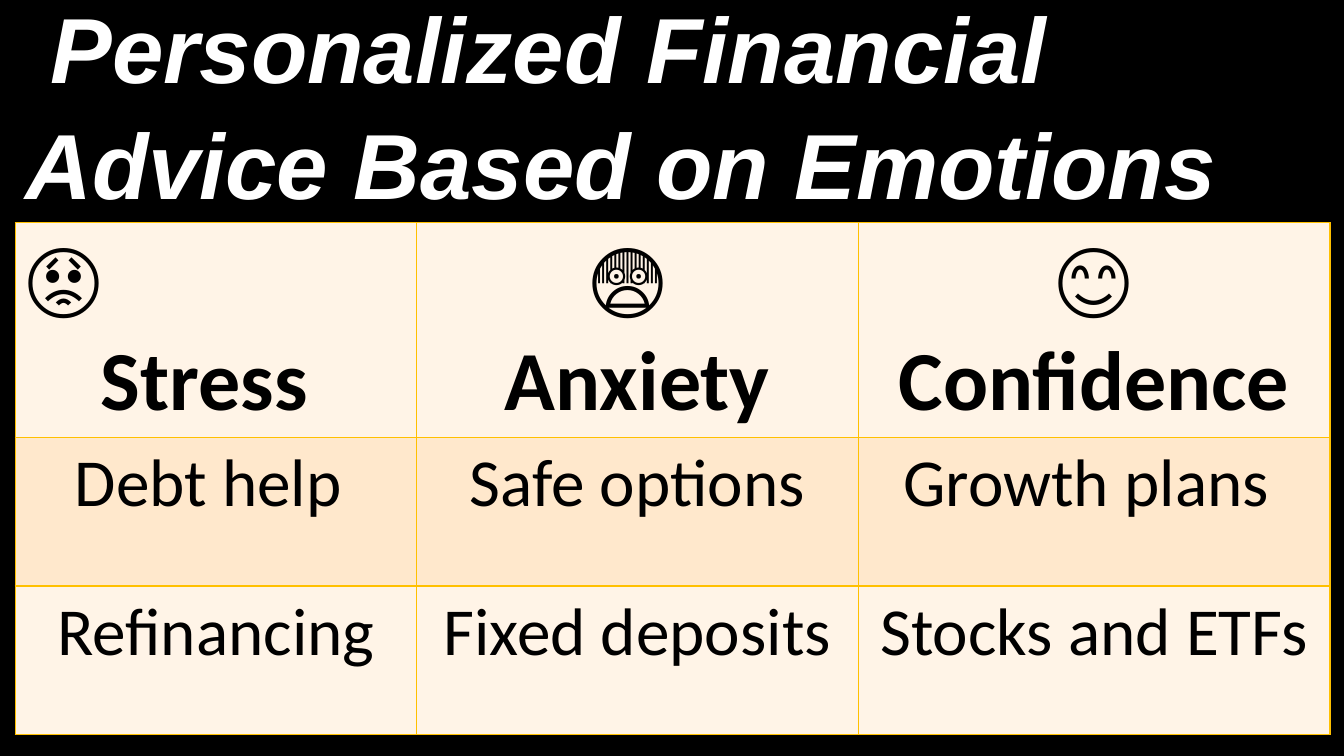
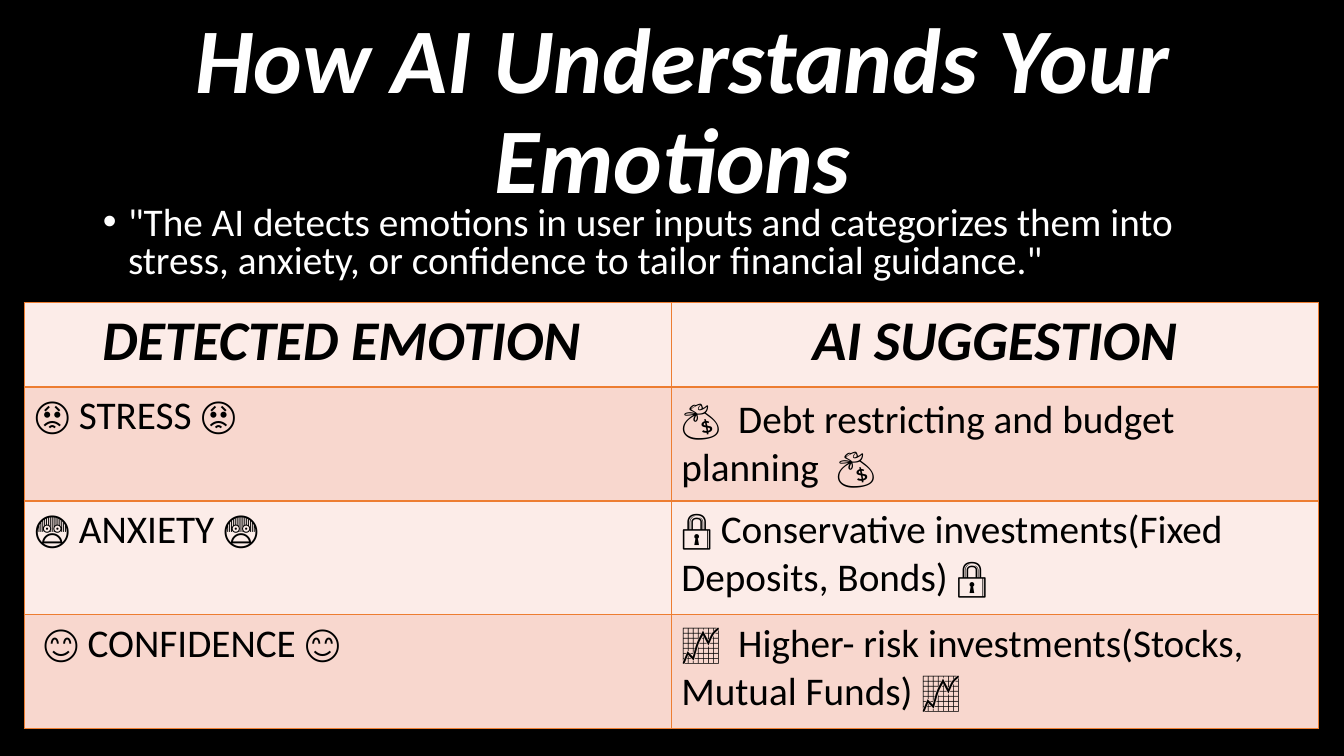
"""Two slides on financial advice that follows emotions."""
import pptx
import pptx.dml.color
import pptx.enum.text
import pptx.oxml
import pptx.oxml.ns
import pptx.util

RGB = pptx.dml.color.RGBColor
ALIGN = pptx.enum.text.PP_ALIGN
ANCHOR = pptx.enum.text.MSO_ANCHOR
Pt = pptx.util.Pt

BLACK = RGB(0x00, 0x00, 0x00)
WHITE = RGB(0xFF, 0xFF, 0xFF)
GOLD = RGB(0xFF, 0xC0, 0x00)
CREAM = RGB(0xFF, 0xF4, 0xE7)
PEACH = RGB(0xFF, 0xE8, 0xCC)
RUST = RGB(0xED, 0x7D, 0x31)
BLUSH = RGB(0xFC, 0xEC, 0xE8)
ROSE = RGB(0xF8, 0xD7, 0xCE)

WIDE = pptx.util.Inches(13.33)
HIGH = pptx.util.Inches(7.5)

TITLE = dict(size=Pt(66), bold=True, italic=True)
LEAD = dict(size=Pt(28), bold=False, italic=False)
MOOD = dict(size=Pt(60), bold=True, italic=False)
TIP = dict(size=Pt(48), bold=False, italic=False)
HEAD = dict(size=Pt(40), bold=True, italic=True)


def across(part):
    """Turn a percentage of the slide's width into a length."""
    return round(WIDE * part / 100)


def down(part):
    """Turn a percentage of the slide's height into a length."""
    return round(HIGH * part / 100)


def apply(item, form):
    """Set each attribute that the dict names."""
    for name, value in form.items():
        setattr(item, name, value)


def write(frame, text, font, para, color, face="Calibri"):
    """Fill a text frame, one paragraph per line, in one format."""
    frame.text = text
    for line in frame.paragraphs:
        apply(line, para)
        for run in line.runs:
            apply(run.font, dict(font, name=face))
            run.font.color.rgb = color


def place(shape, box, text, font, para, face="Calibri"):
    """Move a placeholder to its box and write white text in it."""
    left, top, width, height = box
    apply(shape, dict(left=across(left), top=down(top),
                      width=across(width), height=down(height)))
    write(shape.text_frame, text, font, para, WHITE, face)
    shape.text_frame.auto_size = pptx.enum.text.MSO_AUTO_SIZE.NONE


def indent(line, left, first=0):
    """Indent a paragraph by inches, its first line apart."""
    props = line._p.get_or_add_pPr()
    props.set("marL", str(pptx.util.Inches(left)))
    props.set("indent", str(pptx.util.Inches(first)))


def border(cell, color):
    """Draw a thin line on all sides of a cell."""
    props = cell._tc.get_or_add_tcPr()
    space = pptx.oxml.ns.nsdecls("a")
    for side in "LRTB":
        props.append(pptx.oxml.parse_xml(
            f'<a:ln{side} {space} w="{Pt(1)}"><a:solidFill>'
            f'<a:srgbClr val="{color}"/></a:solidFill></a:ln{side}>'))


def grid(slide, spot, cols, rows, data, fills, edge, fonts, aligns):
    """Add a banded table with its own head and body formats."""
    table = slide.shapes.add_table(
        len(rows), len(cols), across(spot[0]), down(spot[1]),
        across(sum(cols)), down(sum(rows))).table
    apply(table, dict(first_row=False, horz_banding=False))
    for col, part in zip(table.columns, cols):
        col.width = across(part)
    for r, (row, part) in enumerate(zip(table.rows, rows)):
        row.height = down(part)
        kind = min(r, 1)
        for cell, text in zip(row.cells, data[r]):
            border(cell, edge)
            cell.fill.solid()
            cell.fill.fore_color.rgb = fills[r % 2]
            write(cell.text_frame, text, fonts[kind],
                  dict(alignment=aligns[kind]), BLACK)
    return table


def advice(deck):
    """Build the slide of advice for each emotion."""
    slide = deck.slides.add_slide(deck.slide_layouts[5])
    place(slide.shapes.title, (1.13, -2.53, 98.87, 32),
          " Personalized Financial Advice Based on Emotions", TITLE,
          dict(alignment=ALIGN.LEFT, line_spacing=1.05), "Arial")
    data = [("😟\nStress", "😨 \nAnxiety", "😊 Confidence"),
            ("Debt help ", "Safe options", "Growth plans "),
            ("Refinancing", "Fixed deposits", "Stocks and ETFs")]
    table = grid(slide, (1.13, 29.47), (29.86, 32.86, 35.11),
                 (28, 19.6, 19.6), data, (CREAM, PEACH), GOLD,
                 (MOOD, TIP), (ALIGN.CENTER, ALIGN.CENTER))
    lines = table.cell(0, 0).text_frame.paragraphs
    for line in lines:
        line.alignment = ALIGN.LEFT
    indent(lines[1], 0.75)


def detect(deck):
    """Build the slide of emotions and suggestions."""
    slide = deck.slides.add_slide(deck.slide_layouts[1])
    place(slide.shapes.title, (6.9, 5.33, 86.27, 19.33),
          " How AI Understands Your Emotions", TITLE,
          dict(alignment=ALIGN.CENTER, line_spacing=0.9))
    body = slide.placeholders[1]
    place(body, (6.9, 26.67, 86.27, 12.4),
          '"The AI detects emotions in user inputs and categorizes them '
          'into stress, anxiety, or confidence to tailor financial '
          'guidance."', LEAD, dict(line_spacing=0.8, space_before=Pt(10)))
    indent(body.text_frame.paragraphs[0], 0.25, -0.25)
    data = [("DETECTED EMOTION ", "AI SUGGESTION"),
            ("😟 STRESS 😟",
             "💰  Debt restricting and budget planning  💰"),
            ("😨 ANXIETY 😨",
             "🔒 Conservative investments(Fixed Deposits, Bonds) 🔒"),
            (" 😊 CONFIDENCE 😊",
             "📈  Higher- risk investments(Stocks, Mutual Funds) 📈")]
    table = grid(slide, (1.8, 40), (48.15,) * 2, (11.2,) + (15.07,) * 3,
                 data, (BLUSH, ROSE), RUST, (HEAD, LEAD),
                 (ALIGN.CENTER, ALIGN.LEFT))
    table.cell(1, 1).vertical_anchor = ANCHOR.MIDDLE


def main():
    """Build and save the deck."""
    deck = pptx.Presentation()
    apply(deck, dict(slide_width=WIDE, slide_height=HIGH))
    back = deck.slide_master.background.fill
    back.solid()
    back.fore_color.rgb = BLACK
    advice(deck)
    detect(deck)
    deck.save("out.pptx")


if __name__ == "__main__":
    main()
